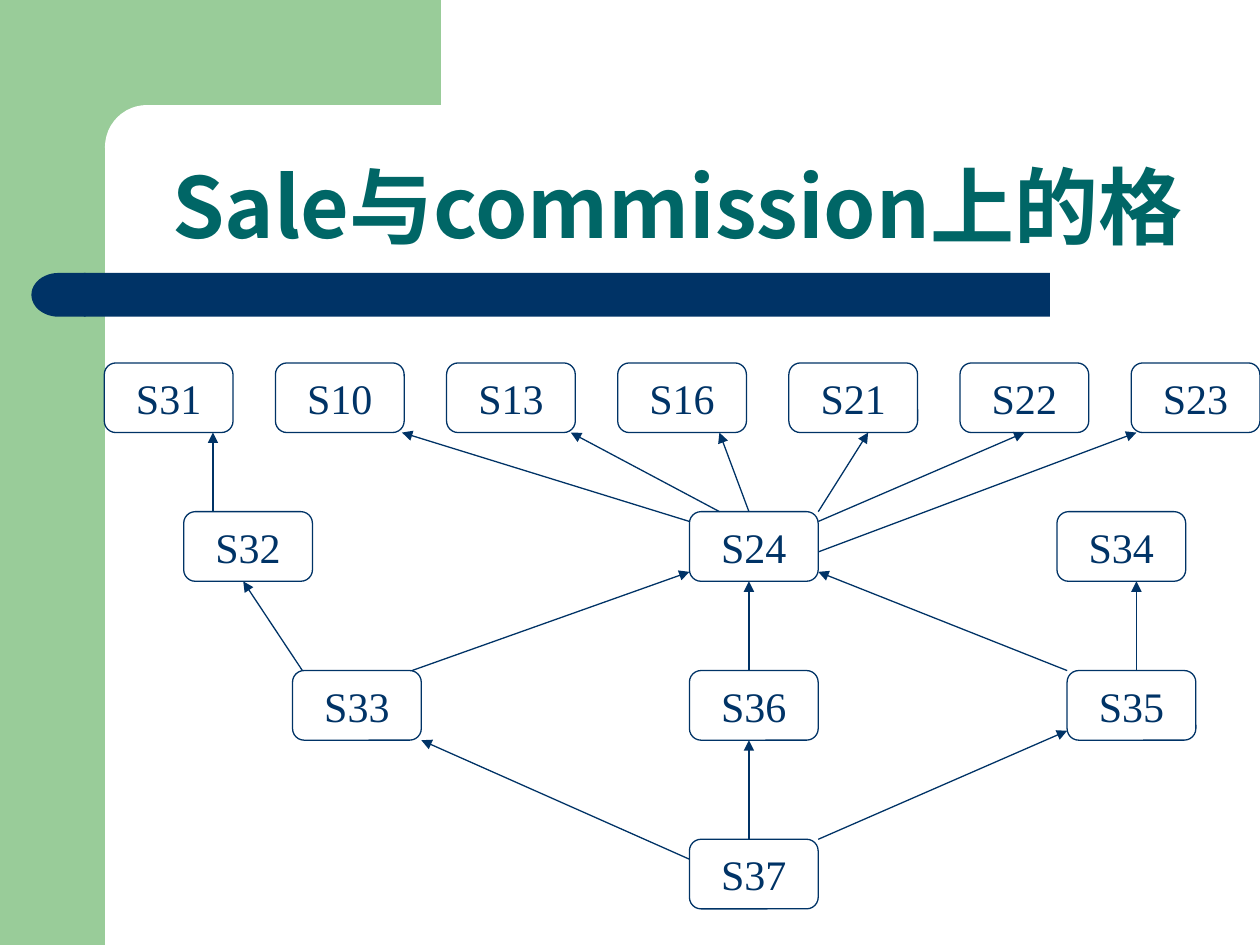
from dataclasses import dataclass

from lxml import etree
from pptx import Presentation
from pptx.dml.color import RGBColor
from pptx.enum.shapes import MSO_CONNECTOR, MSO_SHAPE
from pptx.enum.text import MSO_ANCHOR, MSO_AUTO_SIZE, PP_ALIGN
from pptx.oxml.ns import qn
from pptx.util import Pt

RECT = MSO_SHAPE.RECTANGLE
ROUND = MSO_SHAPE.ROUNDED_RECTANGLE
DELAY = MSO_SHAPE.FLOWCHART_DELAY
STRAIGHT = MSO_CONNECTOR.STRAIGHT
CENTER = PP_ALIGN.CENTER
MIDDLE, BOTTOM = MSO_ANCHOR.MIDDLE, MSO_ANCHOR.BOTTOM
NO_FIT = MSO_AUTO_SIZE.NONE

COLORS = {"green": "99CC99", "white": "FFFFFF", "navy": "003366", "teal": "006666"}
SANS, SERIF = "Noto Sans CJK JP", "Times New Roman"
W, H = 73.6, 39.8  # node size
ROWS = (207.4, 292.4, 383.2, 479.6)
LEFT, STEP = 59.6, 97.8  # top row of nodes


@dataclass
class Panel:
    kind: int
    x: float
    y: float
    w: float
    h: float
    color: str
    round: float | None = None
    flip: bool = False


@dataclass
class Node:
    name: str
    x: float
    y: float


@dataclass
class Link:
    """An arrow; its ends are offsets from the corners of two nodes."""
    start: str
    sx: float
    sy: float
    end: str
    ex: float
    ey: float


PANELS = [
    Panel(RECT, 0, 0, 60, 540, "green"),
    Panel(RECT, 54, 0, 198, 84, "green"),
    Panel(ROUND, 60, 60, 402, 48, "white", round=0.5),
    Panel(ROUND, 48, 156, 552, 25, "navy", round=0),
    Panel(DELAY, 18, 156, 31, 25, "navy", flip=True),
]

TOP = ("S31", "S10", "S13", "S16", "S21", "S22", "S23")
NODES = [Node(name, LEFT + i * STEP, ROWS[0]) for i, name in enumerate(TOP)] + [
    Node("S32", 105, ROWS[1]),
    Node("S24", 394, ROWS[1]),
    Node("S34", 604, ROWS[1]),
    Node("S33", 167.2, ROWS[2]),
    Node("S36", 394, ROWS[2]),
    Node("S35", 609.8, ROWS[2]),
    Node("S37", 394, ROWS[3]),
]

LINKS = [
    Link("S37", 34, 0, "S36", 34, H),
    Link("S37", 0, 11.4, "S33", W, H),
    Link("S37", W, 0, "S35", 0, 34.4),
    Link("S36", 34, 0, "S24", 34, H),
    Link("S33", 68.2, 0, "S24", 0, 34.4),
    Link("S35", 0, 0, "S24", W, 34.4),
    Link("S35", 39.6, 0, "S34", 45.4, H),
    Link("S33", 5.6, 0, "S32", 34, H),
    Link("S32", 16.7, 0, "S31", 62.1, H),
    Link("S24", 0, 5.6, "S10", 72.3, H),
    Link("S24", 17.2, 0, "S13", 71, H),
    Link("S24", 34, 0, "S16", 58.1, H),
    Link("S24", W, 0, "S21", 45.3, H),
    Link("S24", W, 5.6, "S22", W / 2, H),
    Link("S24", W, 23, "S23", 3, H),
]


def tint(name: str) -> RGBColor:
    return RGBColor.from_string(COLORS[name])


def add_run(para, text: str, face: str, size: float, color: str, bold: bool = False) -> None:
    run = para.add_run()
    run.text = text
    font = run.font
    font.name, font.size, font.bold = face, Pt(size), bold
    font.color.rgb = tint(color)
    east = etree.SubElement(font._element, qn("a:ea"))
    east.set("typeface", face)


def draw_panel(slide, panel: Panel) -> None:
    shape = slide.shapes.add_shape(
        panel.kind, Pt(panel.x), Pt(panel.y), Pt(panel.w), Pt(panel.h))
    shape.shadow.inherit = False
    shape.fill.solid()
    shape.fill.fore_color.rgb = tint(panel.color)
    shape.line.fill.background()
    if panel.round is not None:
        shape.adjustments[0] = panel.round
    if panel.flip:
        shape._element.spPr.find(qn("a:xfrm")).set("flipH", "1")


def draw_title(slide) -> None:
    title = slide.shapes.title
    title.left, title.top, title.width, title.height = Pt(72), Pt(60), Pt(630), Pt(90)
    slide.shapes._spTree.append(title._element)  # in front of the panels
    frame = title.text_frame
    frame.auto_size, frame.word_wrap = NO_FIT, True
    frame.vertical_anchor = BOTTOM
    para = frame.paragraphs[0]
    para.alignment, para.line_spacing = CENTER, 0.9
    add_run(para, "Sale与commission上的格", SANS, 48, "teal", bold=True)


def draw_node(slide, node: Node):
    shape = slide.shapes.add_shape(ROUND, Pt(node.x), Pt(node.y), Pt(W), Pt(H))
    shape.shadow.inherit = False
    shape.fill.background()
    shape.line.color.rgb = tint("navy")
    shape.line.width = Pt(0.75)
    frame = shape.text_frame
    frame.word_wrap, frame.vertical_anchor = False, MIDDLE
    para = frame.paragraphs[0]
    para.alignment = CENTER
    add_run(para, node.name, SERIF, 24, "navy")
    return shape


def draw_link(slide, link: Link, nodes: dict, boxes: dict) -> None:
    a, b = nodes[link.start], nodes[link.end]
    line = slide.shapes.add_connector(
        STRAIGHT, Pt(a.x + link.sx), Pt(a.y + link.sy),
        Pt(b.x + link.ex), Pt(b.y + link.ey))
    if (link.ex, link.ey) == (W / 2, H):
        line.end_connect(boxes[link.end], 2)
    line.line.color.rgb = tint("navy")
    line.line.width = Pt(0.75)
    tail = etree.SubElement(line.line._get_or_add_ln(), qn("a:tailEnd"))
    tail.set("type", "triangle")
    etree.SubElement(line._element.spPr, qn("a:effectLst"))


def main() -> None:
    deck = Presentation()
    deck.slide_width, deck.slide_height = Pt(720), Pt(540)
    slide = deck.slides.add_slide(deck.slide_layouts[5])

    # Background panels and title
    for panel in PANELS:
        draw_panel(slide, panel)
    draw_title(slide)

    # Lattice
    nodes = {node.name: node for node in NODES}
    boxes = {node.name: draw_node(slide, node) for node in NODES}
    for link in LINKS:
        draw_link(slide, link, nodes, boxes)

    deck.save("out.pptx")


if __name__ == "__main__":
    main()
